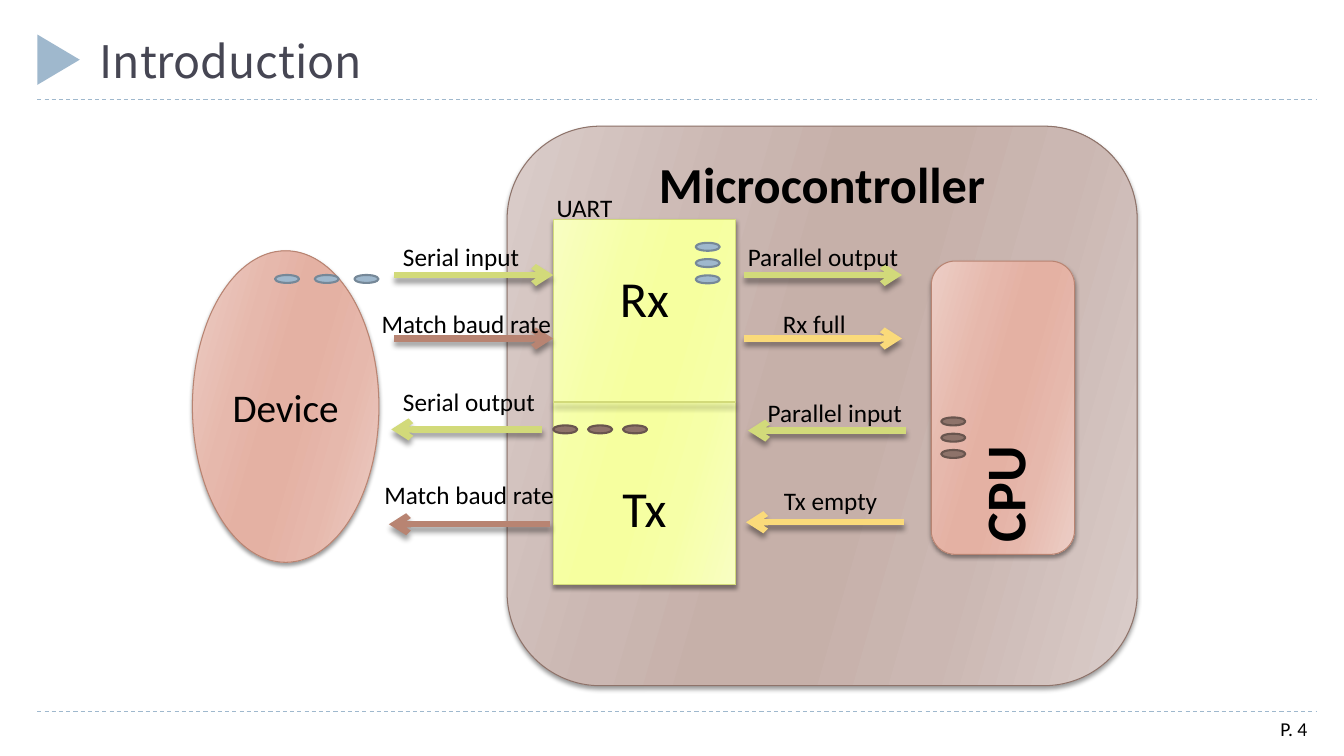
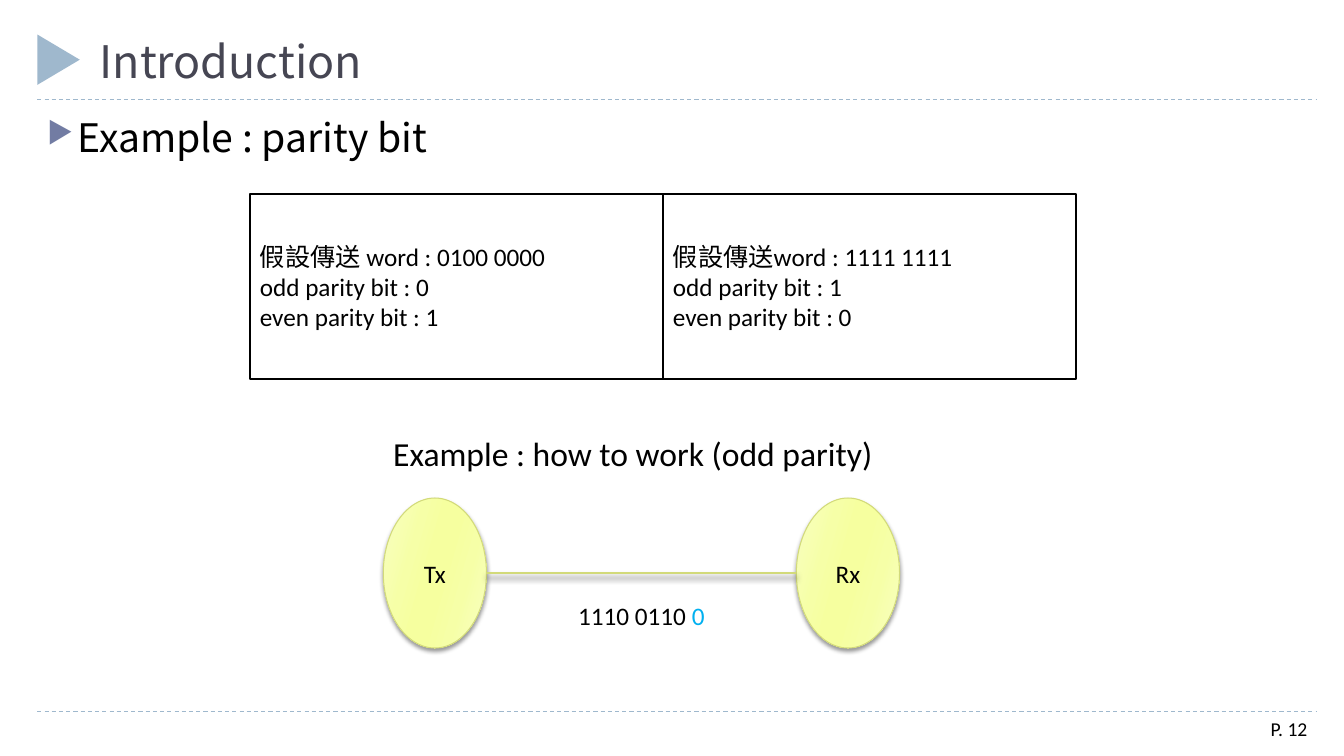
import dataclasses

import pptx
import pptx.dml.color
import pptx.enum.dml
import pptx.enum.shapes
import pptx.enum.text
import pptx.oxml
import pptx.oxml.ns
import pptx.util

Cm = pptx.util.Cm
Pt = pptx.util.Pt
SHAPE = pptx.enum.shapes.MSO_SHAPE
ALIGN = pptx.enum.text.PP_ALIGN
ANCHOR = pptx.enum.text.MSO_ANCHOR

BODY_FONT = "Calibri"
HEADING_FONT = "Noto Sans CJK SC"
BLACK, WHITE = "000000", "FFFFFF"
TITLE_COLOUR = "464653"
BULLET_COLOUR = "727CA3"
PARITY_COLOUR = "00B0F0"
BLUE, BLUE_EDGE = "9FB8CD", "768898"
BROWN, BROWN_EDGE = "8E736A", "69554E"
LIME, CLAY, AMBER = "D2DA7A", "B88472", "FADA7A"
BROWN_GLOSS = ("DACDCA", "CBB7B2", "C6B0A9")
LIME_GLOSS = ("F8FEC2", "F6FFA7", "F6FF9F")
CLAY_GLOSS = ("ECCEC6", "E6B8AC", "E4B1A3")


@dataclasses.dataclass
class Box:
    left: float
    top: float
    width: float
    height: float

    def inside(self, left, top, width, height):
        return Box(self.left + left, self.top + top, width, height)

    def lengths(self):
        return [Cm(value) for value in (self.left, self.top, self.width, self.height)]


def colour(value):
    return pptx.dml.color.RGBColor.from_string(value)


def make_element(tag, content="", attributes=""):
    namespace = pptx.oxml.ns.nsdecls("a")
    return pptx.oxml.parse_xml(f"<a:{tag} {namespace} {attributes}>{content}</a:{tag}>")


def write(shape, lines, size=18, font=BODY_FONT, text_colour=BLACK, bold=False,
          align=ALIGN.LEFT, anchor=ANCHOR.MIDDLE, inset=(0.25, 0.13), gap=0):
    frame = shape.text_frame
    frame.word_wrap = True
    frame.vertical_anchor = anchor
    frame.margin_left = frame.margin_right = Cm(inset[0])
    frame.margin_top = frame.margin_bottom = Cm(inset[1])
    for index, line in enumerate(lines):
        paragraph = frame.add_paragraph() if index else frame.paragraphs[0]
        paragraph.alignment = align
        if index:
            paragraph.space_before = Pt(gap)
        pieces = [(line, text_colour)] if isinstance(line, str) else line
        for text, piece_colour in pieces:
            run = paragraph.add_run()
            run.text = text
            run.font.size = Pt(size)
            run.font.name = font
            run.font.bold = bold
            run.font.color.rgb = colour(piece_colour)
            run.font._element.append(make_element("ea", attributes=f'typeface="{HEADING_FONT}"'))
    return shape


def add_text(slide, box, lines, **formatting):
    return write(slide.shapes.add_textbox(*box.lengths()), lines, **formatting)


def add_label(slide, box, x, y, text):
    label_width, label_height = 5, 0.8
    place = box.inside(x - label_width / 2, y - label_height / 2, label_width, label_height)
    add_text(slide, place, [text], align=ALIGN.CENTER, inset=(0, 0))


def make_shadow(blur, distance):
    return make_element(
        "outerShdw", '<a:srgbClr val="000000"><a:alpha val="40000"/></a:srgbClr>',
        f'blurRad="{Pt(blur)}" dist="{Pt(distance)}" dir="5400000" rotWithShape="0"')


def add_block(slide, kind, box, fill, edge=None, weight=1.5):
    shape = slide.shapes.add_shape(kind, *box.lengths())
    shape.shadow.inherit = False
    shape.fill.solid()
    shape.fill.fore_color.rgb = colour(fill)
    if edge:
        shape.line.color.rgb = colour(edge)
        shape.line.width = Pt(weight)
    else:
        shape.line.fill.background()
    return shape


def add_glossy(slide, kind, box, gloss, edge):
    shape = add_block(slide, kind, box, gloss[-1], edge, 0.75)
    stops = zip((0, 30, 45, 55, 73, 100), gloss + gloss[::-1])
    stop_list = "".join(f'<a:gs pos="{position * 1000}"><a:srgbClr val="{value}"/></a:gs>'
                        for position, value in stops)
    gradient = make_element(
        "gradFill", f'<a:gsLst>{stop_list}</a:gsLst><a:lin ang="960000" scaled="0"/>',
        'rotWithShape="1"')
    properties = shape._element.spPr
    properties.replace(properties.find(pptx.oxml.ns.qn("a:solidFill")), gradient)
    properties.find(pptx.oxml.ns.qn("a:effectLst")).append(make_shadow(3, 2))
    return shape


def add_line(slide, box, start, end, line_colour, weight, arrow=False, dashed=False, shadow=True):
    points = (box.left + start[0], box.top + start[1], box.left + end[0], box.top + end[1])
    line = slide.shapes.add_connector(pptx.enum.shapes.MSO_CONNECTOR.STRAIGHT,
                                      *[Cm(point) for point in points])
    line.line.color.rgb = colour(line_colour)
    line.line.width = Pt(weight)
    if dashed:
        line.line.dash_style = pptx.enum.dml.MSO_LINE.DASH
    properties = line._element.spPr
    if arrow:
        outline = properties.find(pptx.oxml.ns.qn("a:ln"))
        outline.append(make_element("tailEnd", attributes='type="arrow"'))
    effects = make_element("effectLst")
    if shadow:
        effects.append(make_shadow(4, 3.4))
    properties.append(effects)
    return line


def add_dots(slide, box, first, step, fill, edge):
    for index in range(3):
        place = box.inside(first[0] + index * step[0], first[1] + index * step[1], 0.61, 0.2)
        add_block(slide, SHAPE.OVAL, place, fill, edge)


def add_frame(slide, box, title, page):
    for y in (17.93, 2.51):
        add_line(slide, box, (0.94, y), (33.2, y), BLUE, 0.75, dashed=True, shadow=False)
    marker = add_block(slide, SHAPE.ISOSCELES_TRIANGLE, box.inside(0.84, 0.97, 1.27, 1.07), BLUE)
    marker.rotation = 90
    add_text(slide, box.inside(31.06, 17.93, 2.14, 0.86), [f"P. {page}"], size=14,
             align=ALIGN.RIGHT, anchor=ANCHOR.TOP)
    add_text(slide, box.inside(2.26, 0.43, 30.94, 1.9), [title], size=32, font=HEADING_FONT,
             text_colour=TITLE_COLOUR, anchor=ANCHOR.BOTTOM)


def add_uart(slide, box):
    block = add_glossy(slide, SHAPE.RECTANGLE, box, LIME_GLOSS, LIME)
    write(block, ["Rx", "Tx"], size=36, align=ALIGN.CENTER, gap=107)
    middle = box.height / 2
    divider = add_line(slide, box, (0, middle), (box.width, middle), LIME, 1.5)
    divider.begin_connect(block, 1)
    divider.end_connect(block, 3)
    add_label(slide, box, 0.79, -0.3, "UART")
    add_dots(slide, box, (3.59, 0.58), (0, 0.41), BLUE, BLUE_EDGE)


def add_cpu(slide, box):
    block = add_glossy(slide, SHAPE.ROUNDED_RECTANGLE, box, CLAY_GLOSS, CLAY)
    write(block, ["CPU"], size=40, bold=True)
    block.text_frame._txBody.bodyPr.set("vert", "vert270")
    add_dots(slide, box, (0.25, 3.94), (0, 0.41), BROWN, BROWN_EDGE)


def add_microcontroller(slide, box):
    block = add_glossy(slide, SHAPE.ROUNDED_RECTANGLE, box, BROWN_GLOSS, BROWN)
    write(block, ["Microcontroller"], size=36, bold=True, align=ALIGN.CENTER,
          anchor=ANCHOR.TOP, inset=(0.25, 0))
    uart = box.inside(1.16, 2.36, 4.6, 9.2)
    add_uart(slide, uart)
    add_cpu(slide, box.inside(10.69, 3.4, 3.61, 7.39))
    return uart


def add_device(slide, box):
    block = add_glossy(slide, SHAPE.OVAL, box, CLAY_GLOSS, CLAY)
    write(block, ["Device"], size=28, align=ALIGN.CENTER)
    add_dots(slide, box, (2.08, 0.61), (1, 0), BLUE, BLUE_EDGE)


def add_flows(slide, box, flows):
    for text, start, end, y, line_colour, label_x, label_y in flows:
        add_line(slide, box, (start, y), (end, y), line_colour, 4.5, arrow=True)
        add_label(slide, box, label_x, label_y, text)


def add_uart_slide(slide, box):
    add_frame(slide, box, "Introduction", 4)
    uart = add_microcontroller(slide, box.inside(12.78, 3.18, 15.88, 14.1))
    add_device(slide, box.inside(4.85, 6.32, 4.7, 7.85))
    add_flows(slide, uart.inside(-4.14, 0, 4.14, uart.height), [
        ("Serial input", 0.13, 4.14, 1.39, LIME, 1.82, 0.92),
        ("Match baud rate", 0.13, 4.14, 2.99, CLAY, 1.95, 2.6),
        ("Serial output", 3.87, 0.06, 5.28, LIME, 2.02, 4.57),
        ("Match baud rate", 4.07, 0, 7.67, CLAY, 2.02, 6.91),
    ])
    add_flows(slide, uart.inside(4.81, 0, 4.08, uart.height), [
        ("Parallel output", 0, 3.98, 1.39, LIME, 1.99, 0.92),
        ("Rx full", 0, 3.98, 2.99, AMBER, 1.77, 2.6),
        ("Parallel input", 4.08, 0.1, 5.31, LIME, 2.29, 4.85),
        ("Tx empty", 4.03, 0.05, 7.62, AMBER, 2.18, 7.06),
    ])
    add_dots(slide, uart, (0, 5.18), (0.88, 0), BROWN, BROWN_EDGE)


def add_bullet_heading(slide, box, text):
    heading = add_text(slide, box, [text], size=28, font=HEADING_FONT, anchor=ANCHOR.TOP)
    properties = heading.text_frame.paragraphs[0]._p.get_or_add_pPr()
    properties.set("marL", str(Cm(0.76)))
    properties.set("indent", str(-Cm(0.76)))
    properties.append(make_element("buClr", f'<a:srgbClr val="{BULLET_COLOUR}"/>'))
    properties.append(make_element("buSzPct", attributes='val="76000"'))
    properties.append(make_element("buChar", attributes='char="▶"'))


def add_parity_cases(slide, box, cases):
    width = box.width / len(cases)
    for index, lines in enumerate(cases):
        cell = add_block(slide, SHAPE.RECTANGLE, box.inside(index * width, 0, width, box.height),
                         WHITE, BLACK)
        write(cell, lines)


def add_link(slide, box):
    node_width, node_height = 2.6, 3.78
    node_top = box.height - node_height
    add_text(slide, box.inside(0, 0, 14.1, 1.75), ["Example : how to work (odd parity)"], size=24)
    for left, name in ((0, "Tx"), (box.width - node_width, "Rx")):
        node = add_glossy(slide, SHAPE.OVAL, box.inside(left, node_top, node_width, node_height),
                          LIME_GLOSS, LIME)
        write(node, [name], align=ALIGN.CENTER)
    middle = node_top + node_height / 2
    add_line(slide, box, (node_width, middle), (box.width - node_width, middle), LIME, 2)
    add_text(slide, box.inside(box.width / 2 - 2.06, middle + 0.49, 4.12, 1.17),
             [[("1110 0110 ", BLACK), ("0", PARITY_COLOUR)]], align=ALIGN.CENTER)


def add_parity_slide(slide, box):
    add_frame(slide, box, "Introduction", 12)
    add_bullet_heading(slide, box.inside(0.94, 2.72, 32.26, 1.7), "Example : parity bit")
    add_parity_cases(slide, box.inside(6.3, 4.88, 20.82, 4.67), [
        ["假設傳送 word : 0100 0000", "odd parity bit : 0", "even parity bit : 1"],
        ["假設傳送word : 1111 1111", "odd parity bit : 1", "even parity bit : 0"],
    ])
    add_link(slide, box.inside(9.66, 10.54, 13.01, 5.79))


def main():
    presentation = pptx.Presentation()
    page = Box(0, 0, 33.87, 19.05)
    presentation.slide_width = Cm(page.width)
    presentation.slide_height = Cm(page.height)
    for fill_slide in (add_uart_slide, add_parity_slide):
        fill_slide(presentation.slides.add_slide(presentation.slide_layouts[6]), page)
    presentation.save("out.pptx")


if __name__ == "__main__":
    main()
